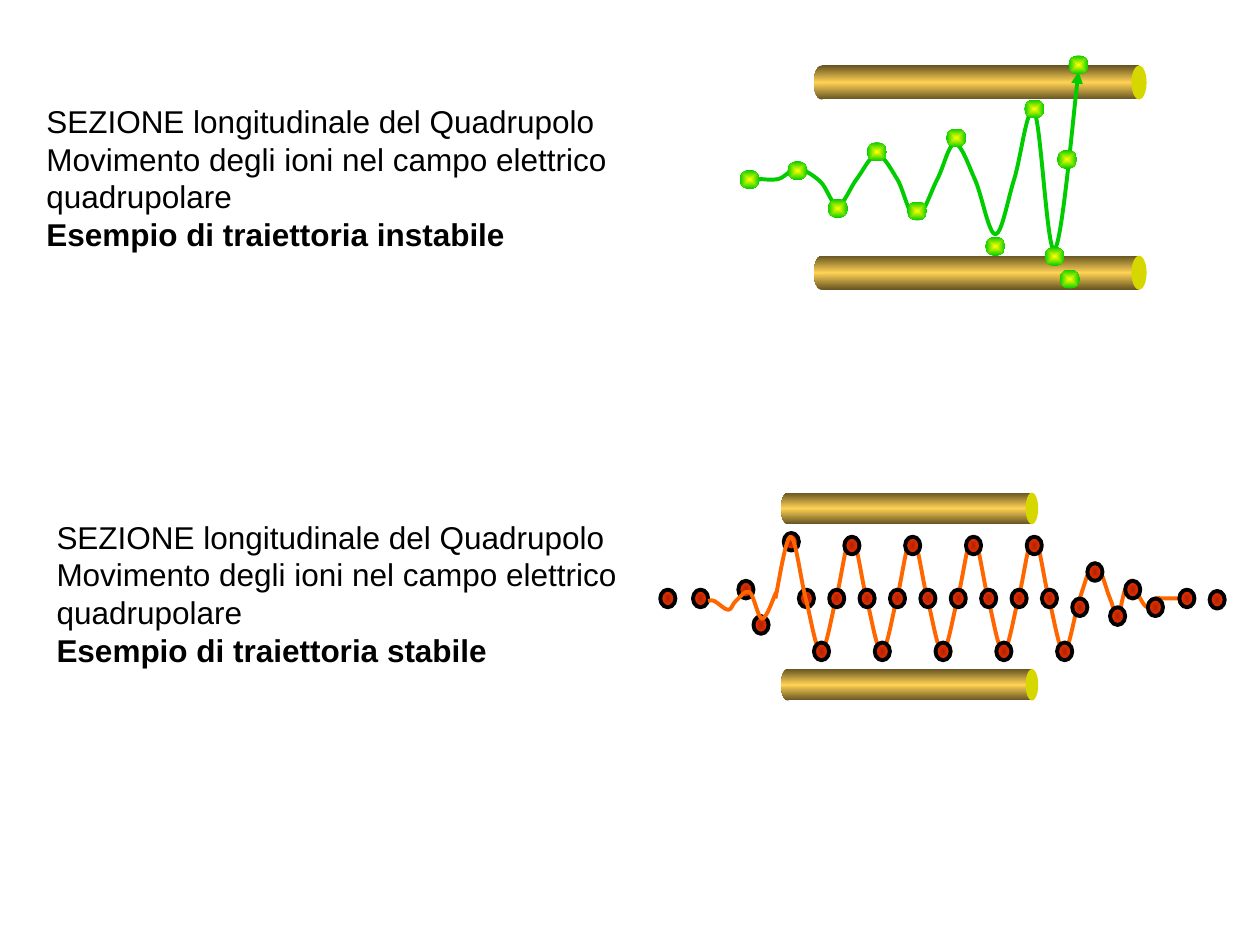
from lxml.etree import SubElement
from pptx import Presentation
from pptx.dml.color import RGBColor
from pptx.enum.shapes import MSO_SHAPE
from pptx.enum.text import MSO_AUTO_SIZE
from pptx.oxml.ns import qn
from pptx.util import Inches, Pt

COLS, ROWS = 100, 75
BRASS = [(0, "665422"), (50, "FFD255"), (100, "665422")]
LIME = [(0, "FFFF00"), (100, "00CC00")]
RED = [(0, "B22400"), (100, "FF3300")]


def tint(code):
    return RGBColor.from_string(code)


def blend(shape, stops, angle=None):
    """Fill with a gradient: linear at an angle, or from the centre out."""
    shape.fill.background()
    props = shape.element.spPr
    blank = props.find(qn("a:noFill"))
    grad = props.makeelement(qn("a:gradFill"), {"rotWithShape": "1"})
    props.replace(blank, grad)
    listing = SubElement(grad, qn("a:gsLst"))
    for pos, code in stops:
        stop = SubElement(listing, qn("a:gs"), pos=str(pos * 1000))
        SubElement(stop, qn("a:srgbClr"), val=code)
    if angle is not None:
        SubElement(grad, qn("a:lin"), ang=str(angle * 60000), scaled="0")
    else:
        core = SubElement(grad, qn("a:path"), {"path": "rect"})
        SubElement(core, qn("a:fillToRect"), {s: "50000" for s in "ltrb"})


def spline(knots):
    """Bezier points through the knots; each tangent follows the neighbours."""
    ends = [knots[0], *knots, knots[-1]]
    points = []
    for a, b, c, d in zip(ends, ends[1:], ends[2:], ends[3:]):
        points += [
            (b[0] + (c[0] - a[0]) / 6, b[1] + (c[1] - a[1]) / 6),
            (c[0] - (d[0] - b[0]) / 6, c[1] - (d[1] - b[1]) / 6),
            c,
        ]
    return points


class Deck:
    """Holds the style, the grid and the current slide."""

    font, size, ink, stroke = "Arial", 18, "000000", 2.25

    def __init__(self):
        self.prs = Presentation()
        self.prs.slide_width, self.prs.slide_height = Inches(10), Inches(7.5)
        self.slide = self.prs.slides.add_slide(self.prs.slide_layouts[6])
        self.shapes = self.slide.shapes

    def group(self):
        """Send the next drawn parts to a new group."""
        self.shapes = self.slide.shapes.add_group_shape().shapes

    def spot(self, col, row):
        return (round(col * self.prs.slide_width / COLS),
                round(row * self.prs.slide_height / ROWS))

    def shape(self, kind, col, row, wide, high, fill, angle=None, line=None):
        part = self.shapes.add_shape(
            kind, *self.spot(col, row), *self.spot(wide, high))
        part.shadow.inherit = False
        if isinstance(fill, str):
            part.fill.solid()
            part.fill.fore_color.rgb = tint(fill)
        else:
            blend(part, fill, angle)
        self.edge(part, line)

    def edge(self, part, line):
        if line:
            part.line.color.rgb = tint(line)
            part.line.width = Pt(self.stroke)
        else:
            part.line.fill.background()

    def rod(self, col, row, wide, high, cap):
        body = wide - cap
        self.shape(MSO_SHAPE.OVAL, col, row, cap, high, BRASS, 90)
        self.shape(MSO_SHAPE.RECTANGLE, col + cap / 2, row, body, high, BRASS, 90)
        self.shape(MSO_SHAPE.OVAL, col + body, row, cap, high, "D7D700")

    def ions(self, centres, wide, high, fill, line=None):
        for col, row in centres:
            self.shape(MSO_SHAPE.OVAL, col - wide / 2, row - high / 2,
                       wide, high, fill, line=line)

    def curve(self, knots, line, arrow=False):
        pen = self.shapes.build_freeform(*self.spot(*knots[0]))
        pen.add_line_segments([self.spot(*p) for p in spline(knots)], close=False)
        part = pen.convert_to_shape()
        part.shadow.inherit = False
        part.fill.background()
        self.edge(part, line)
        track = next(part.element.iter(qn("a:path")))
        steps = track.findall(qn("a:lnTo"))
        for i in range(0, len(steps), 3):
            bend = SubElement(track, qn("a:cubicBezTo"))
            for step in steps[i:i + 3]:
                bend.append(step[0])
                track.remove(step)
        if arrow:
            SubElement(part.element.spPr.find(qn("a:ln")),
                       qn("a:tailEnd"), type="triangle")

    def text(self, lines, col, row, wide, high, bold=()):
        box = self.slide.shapes.add_textbox(
            *self.spot(col, row), *self.spot(wide, high))
        frame = box.text_frame
        frame.word_wrap = True
        frame.auto_size = MSO_AUTO_SIZE.SHAPE_TO_FIT_TEXT
        frame.text = "\n".join(lines)
        for i, para in enumerate(frame.paragraphs):
            font = para.runs[0].font
            font.name, font.size = self.font, Pt(self.size)
            font.bold = i in bold
            font.color.rgb = tint(self.ink)


def unstable(deck):
    deck.group()
    for row in (5.2, 20.3):
        deck.rod(64.6, row, 26.4, 2.7, 1.2)
    deck.curve([
        (60.2, 14.2), (61.8, 14.2), (63.3, 13.4), (65.1, 14.4), (66.5, 16.3),
        (68, 14.2), (69.6, 12.3), (71.2, 14.2), (72.7, 17.3), (74.4, 14.2),
        (75.8, 11.4), (77.4, 14.3), (79, 18.6), (80.5, 14.2), (82.1, 8.9),
        (83.7, 19.8), (85.6, 5.7)], "00CC00", arrow=True)
    deck.ions([
        (59.5, 14.25), (63.3, 13.55), (66.5, 16.55), (69.6, 12.05),
        (72.8, 16.75), (75.9, 10.95), (79, 19.55), (82.1, 8.65),
        (83.7, 20.35), (84.9, 22.15), (84.7, 12.65), (85.6, 5.15)],
        1.6, 1.5, LIME)


def stable(deck):
    deck.group()
    for row in (39.1, 53.1):
        deck.rod(62, row, 20.4, 2.5, 1)
    look = (1.2, 1.4, RED, "000000")
    top, mid, low, step = 43.3, 47.5, 51.7, 1.206
    deck.ions([(53, mid), (55.6, mid), (59.2, 46.8), (60.4, 49.6),
               (62.8, 43), (64, mid)], *look)

    wave = (mid, 42.6, mid, low)
    deck.curve([(61.54 + step * i, wave[i % 4]) for i in range(20)] + [
        (85.7, 47.5), (86.9, 44.7), (88.1, 47.5), (88.7, 48.9), (89.3, 46.8),
        (89.9, 46.1), (90.5, 47.5), (91.1, 48.2), (91.7, 47.5), (92.3, 47.5),
        (94.1, 47.5)], "FF6600")
    deck.curve([(61.6, 47), (60.5, 49.1), (59.5, 47), (58.4, 47.7),
                (57.8, 48.4), (56.7, 47.7), (56.2, 47.7)], "FF6600")

    cycle = (low, mid, top, mid)
    deck.ions([(65.2 + step * i, cycle[i % 4]) for i in range(17)] + [
        (85.7, 48.2), (86.9, 45.4), (88.7, 48.9), (89.9, 46.8), (91.7, 48.2),
        (94.2, mid), (96.6, 47.6)], *look)


def main():
    deck = Deck()
    unstable(deck)
    for kind, col, row, wide in (("instabile", 2.7, 7.6, 49.6),
                                 ("stabile", 3.5, 40.6, 48.8)):
        deck.text(["SEZIONE longitudinale del Quadrupolo",
                   "Movimento degli ioni nel campo elettrico quadrupolare",
                   f"Esempio di traiettoria {kind}"],
                  col, row, wide, 13, bold=(2,))
    stable(deck)
    deck.prs.save("out.pptx")


if __name__ == "__main__":
    main()
